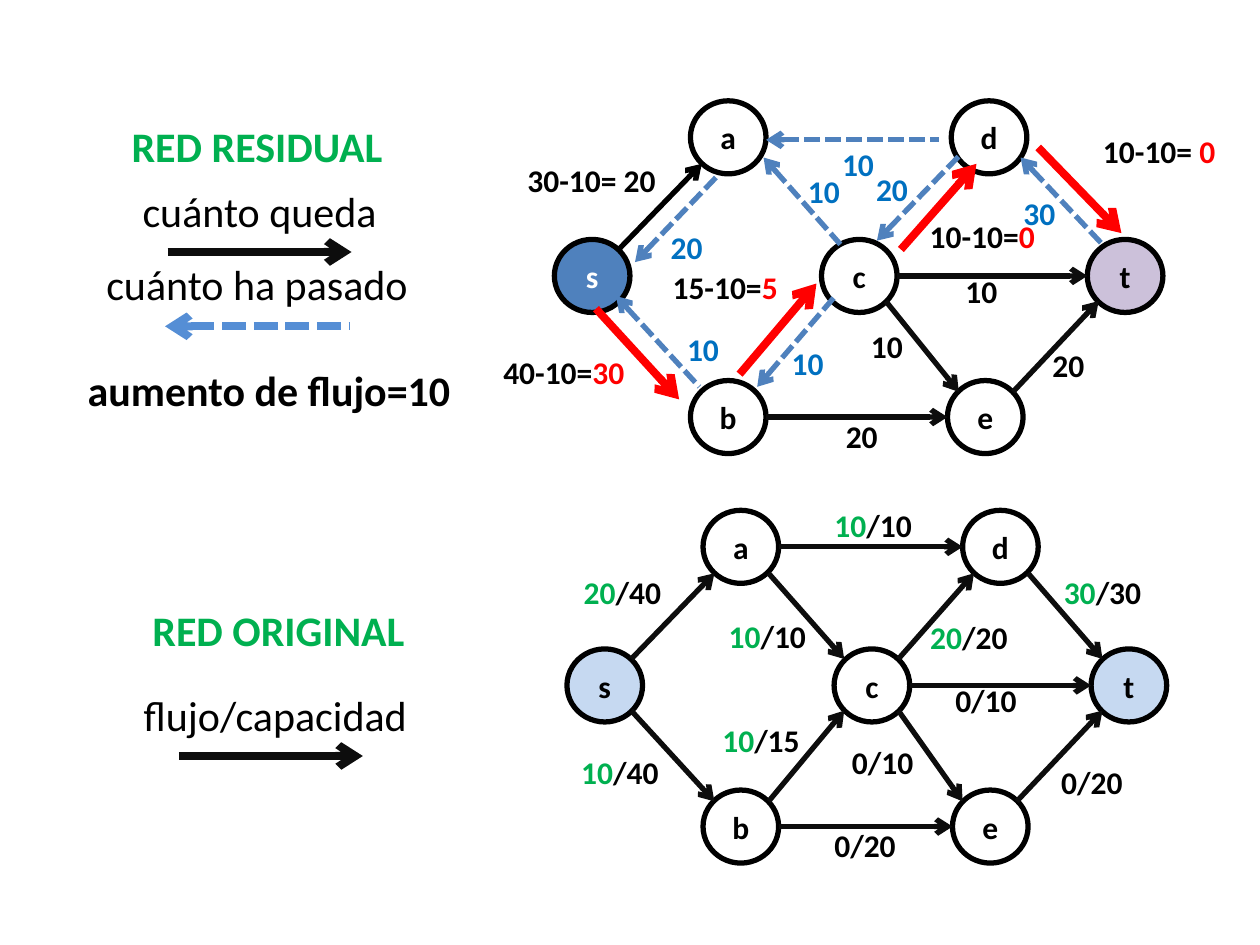
from dataclasses import dataclass

import lxml.etree
import pptx
import pptx.dml.color
import pptx.enum.dml
import pptx.enum.shapes
import pptx.enum.text
import pptx.oxml.ns
import pptx.util

EMU_PER_PX = 9144  # 100 px to the inch
NODE_WIDTH, NODE_HEIGHT = 60, 58
FONT = "Calibri"
BLACK, INK, RED, GREEN = "000000", "0D0D0D", "FF0000", "00B050"
BLUE, LABEL_BLUE, LEGEND_BLUE = "4F81BD", "0070C0", "558ED5"


@dataclass
class Node:
    name: str
    left: int
    top: int
    fill: str | None = None
    color: str = BLACK


@dataclass
class Label:
    left: int
    top: int
    width: int
    runs: list[tuple[str, str]]
    size: int = 18
    bold: bool = True


@dataclass
class Arrow:
    x1: int
    y1: int
    x2: int
    y2: int
    color: str = INK
    weight: float = 3
    dashed: bool = False  # dashed arrows point back to their first end


def px(length: int) -> int:
    return pptx.util.Emu(length * EMU_PER_PX)


def rgb(color: str) -> pptx.dml.color.RGBColor:
    return pptx.dml.color.RGBColor.from_string(color)


def write_text(shape, runs: list[tuple[str, str]], size: int = 18, bold: bool = True) -> None:
    frame = shape.text_frame
    frame.word_wrap = False
    paragraph = frame.paragraphs[0]
    paragraph.alignment = pptx.enum.text.PP_ALIGN.CENTER
    paragraph.font.name = FONT
    paragraph.font.size = pptx.util.Pt(size)
    paragraph.font.bold = bold
    for text, color in runs:
        run = paragraph.add_run()
        run.text = text
        run.font.color.rgb = rgb(color)


def draw_node(slide, node: Node) -> None:
    shape = slide.shapes.add_shape(
        pptx.enum.shapes.MSO_SHAPE.OVAL,
        px(node.left), px(node.top), px(NODE_WIDTH), px(NODE_HEIGHT))
    shape.shadow.inherit = False
    if node.fill:
        shape.fill.solid()
        shape.fill.fore_color.rgb = rgb(node.fill)
    else:
        shape.fill.background()
    shape.line.color.rgb = rgb(BLACK)
    shape.line.width = pptx.util.Pt(3)
    shape.text_frame.vertical_anchor = pptx.enum.text.MSO_ANCHOR.MIDDLE
    write_text(shape, [(node.name, node.color)])


def draw_label(slide, label: Label) -> None:
    height = 40 if label.size == 18 else 50
    shape = slide.shapes.add_textbox(
        px(label.left), px(label.top), px(label.width), px(height))
    shape.text_frame.auto_size = pptx.enum.text.MSO_AUTO_SIZE.SHAPE_TO_FIT_TEXT
    write_text(shape, label.runs, label.size, label.bold)


def draw_arrow(slide, arrow: Arrow) -> None:
    connector = slide.shapes.add_connector(
        pptx.enum.shapes.MSO_CONNECTOR.STRAIGHT,
        px(arrow.x1), px(arrow.y1), px(arrow.x2), px(arrow.y2))
    connector.line.color.rgb = rgb(arrow.color)
    connector.line.width = pptx.util.Pt(arrow.weight)
    if arrow.dashed:
        connector.line.dash_style = pptx.enum.dml.MSO_LINE.SQUARE_DOT
    qn = pptx.oxml.ns.qn
    properties = connector.line._get_or_add_ln()
    end = qn("a:headEnd" if arrow.dashed else "a:tailEnd")
    lxml.etree.SubElement(properties, end, type="arrow")
    lxml.etree.SubElement(properties.getparent(), qn("a:effectLst"))


def plain(left: int, top: int, text: str, color: str = BLACK) -> Label:
    width = 46 if len(text) == 2 else 69
    return Label(left, top, width, [(text, color)])


def flow(left: int, top: int, used: str, capacity: str) -> Label:
    return Label(left, top, 82, [(used, GREEN), ("/" + capacity, BLACK)])


def residual(left: int, top: int, width: int, start: str, rest: str) -> Label:
    return Label(left, top, width, [(start, BLACK), (rest, RED)])


def legend(left: int, top: int, width: int, text: str,
           color: str = BLACK, bold: bool = False) -> Label:
    return Label(left, top, width, [(text, color)], 24, bold)


def red(x1: int, y1: int, x2: int, y2: int) -> Arrow:
    return Arrow(x1, y1, x2, y2, RED, 4.5)


def back(x1: int, y1: int, x2: int, y2: int) -> Arrow:
    return Arrow(x1, y1, x2, y2, BLUE, 3, True)


# Residual network
RESIDUAL = [
    Node("s", 440, 190, BLUE, "FFFFFF"), Node("b", 548, 302), Node("e", 752, 302),
    Node("t", 863, 190, "CCC1DA"), Node("d", 755, 80), Node("a", 548, 80),
    Node("c", 652, 190),
    Arrow(491, 198, 557, 130, BLACK), Arrow(608, 331, 752, 331),
    Arrow(804, 311, 872, 239), Arrow(712, 219, 863, 219), Arrow(703, 239, 761, 311),
    red(473, 245, 539, 317), red(824, 117, 890, 185),
    red(587, 297, 648, 225), red(715, 198, 775, 130),
    back(504, 208, 570, 139), back(608, 111, 745, 111), back(810, 125, 875, 194),
    back(606, 125, 667, 194), back(696, 191, 762, 123), back(489, 235, 555, 307),
    back(601, 307, 662, 236),
    Label(408, 123, 123, [("30-10= 20", BLACK)]),
    residual(865, 100, 110, "10-10= ", "0"), residual(389, 275, 117, "40-10=", "30"),
    residual(523, 208, 105, "15-10=", "5"), residual(727, 167, 105, "10-10=", "0"),
    plain(756, 211, "10"), plain(825, 270, "20"), plain(661, 326, "20"),
    plain(681, 255, "10"),
    plain(522, 176, "20", LABEL_BLUE), plain(658, 110, "10", LABEL_BLUE),
    plain(802, 149, "30", LABEL_BLUE), plain(631, 132, "10", LABEL_BLUE),
    plain(685, 130, "20", LABEL_BLUE), plain(535, 257, "10", LABEL_BLUE),
    plain(618, 268, "10", LABEL_BLUE),
    legend(83, 91, 242, "RED RESIDUAL", GREEN, True),
    legend(102, 142, 208, "cuánto queda"), Arrow(133, 200, 279, 200, INK, 4.5),
    legend(73, 200, 262, "cuánto ha pasado"),
    Arrow(131, 259, 277, 259, LEGEND_BLUE, 4.5, True),
    legend(58, 284, 311, "aumento de flujo=10", bold=True),
]

# Network with flow and capacity
ORIGINAL = [
    Node("s", 450, 515, "C6D9F1"), Node("b", 558, 627), Node("e", 756, 627),
    Node("t", 866, 515, "C6D9F1"), Node("d", 764, 405), Node("a", 558, 405),
    Node("c", 662, 515),
    Arrow(501, 523, 567, 455), Arrow(501, 564, 567, 636), Arrow(618, 656, 756, 656),
    Arrow(816, 455, 875, 523), Arrow(807, 636, 875, 564), Arrow(618, 434, 764, 434),
    Arrow(722, 544, 866, 544), Arrow(610, 455, 670, 523), Arrow(713, 564, 764, 636),
    Arrow(610, 636, 670, 564), Arrow(713, 523, 773, 455),
    flow(652, 397, "10", "10"), flow(453, 450, "20", "40"), flow(834, 450, "30", "30"),
    flow(568, 485, "10", "10"), flow(451, 593, "10", "40"), flow(563, 567, "10", "15"),
    flow(728, 486, "20", "20"),
    plain(748, 536, "0/10"), plain(832, 601, "0/20"), plain(652, 651, "0/20"),
    plain(666, 585, "0/10"),
    legend(100, 475, 242, "RED ORIGINAL", GREEN, True),
    legend(103, 542, 231, "flujo/capacidad"), Arrow(142, 600, 288, 600, INK, 4.5),
]

DRAW = {Node: draw_node, Label: draw_label, Arrow: draw_arrow}


def main() -> None:
    presentation = pptx.Presentation()
    presentation.slide_width, presentation.slide_height = px(1000), px(750)
    slide = presentation.slides.add_slide(presentation.slide_layouts[6])
    for part in ORIGINAL + RESIDUAL:
        DRAW[type(part)](slide, part)
    presentation.save("out.pptx")


if __name__ == "__main__":
    main()
